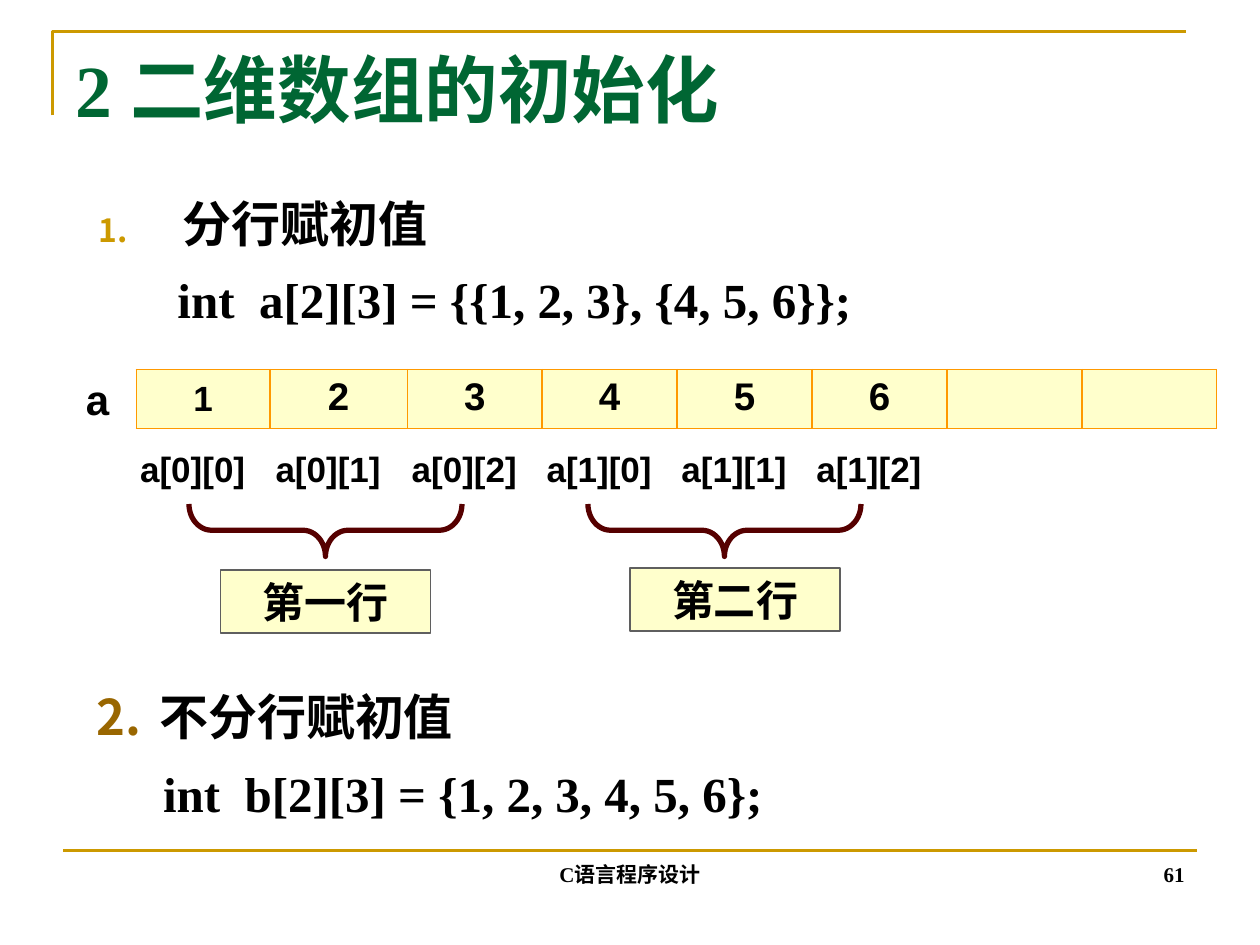
from dataclasses import dataclass

from lxml.etree import SubElement
from pptx import Presentation
from pptx.dml.color import RGBColor
from pptx.enum.shapes import MSO_CONNECTOR as Connector, MSO_SHAPE as Shape
from pptx.enum.text import MSO_ANCHOR as Anchor, PP_ALIGN as Align
from pptx.oxml.ns import qn
from pptx.util import Inches, Pt


@dataclass(frozen=True)
class Theme:
    serif: str = "Times New Roman"
    sans: str = "Arial"
    ink: str = "000000"
    title: str = "006633"
    rule: str = "CC9900"
    second_number: str = "996600"
    cell: str = "FFFFCC"
    cell_border: str = "FF9900"
    box_border: str = "5F5F5F"
    brace: str = "560000"
    title_size: float = 42
    list_size: float = 28
    label_size: float = 24
    value_size: float = 22
    index_size: float = 20
    footer_size: float = 12


THEME = Theme()
COLUMN_WIDTHS = [12.7, 13.1] + [12.85] * 6
ROW_HEIGHT = 5.6


def grid(units):
    """Length on a grid of 120 columns by 90 rows."""
    return Inches(units / 12)


def place(*units):
    return [grid(unit) for unit in units]


def rgb(value):
    return RGBColor.from_string(value)


def style_line(shape, color, width):
    shape.line.color.rgb = rgb(color)
    shape.line.width = Pt(width)


def write(paragraph, text, size, font, color=THEME.ink, align=None):
    paragraph.text = text
    paragraph.alignment = align
    for run in paragraph.runs:
        run.font.size = Pt(size)
        run.font.name = font
        run.font.bold = True
        run.font.color.rgb = rgb(color)


def add_text(slide, box, text, size, font, color=THEME.ink, align=Align.LEFT,
             anchor=Anchor.TOP):
    frame = slide.shapes.add_textbox(*place(*box)).text_frame
    frame.word_wrap = True
    frame.vertical_anchor = anchor
    write(frame.paragraphs[0], text, size, font, color, align)


def add_frame_rules(slide):
    """Corner line around the title and the line above the footer."""
    builder = slide.shapes.build_freeform(grid(5), grid(11))
    builder.add_line_segments([place(5, 3), place(113, 3)], close=False)
    corner = builder.convert_to_shape()
    corner.shadow.inherit = False
    corner.fill.background()
    style_line(corner, THEME.rule, 1.5)

    footer_rule = slide.shapes.add_connector(Connector.STRAIGHT, *place(6, 81, 114, 81))
    style_line(footer_rule, THEME.rule, 1.5)
    SubElement(footer_rule._element.spPr, qn("a:effectLst"))


def add_number(paragraph, start, color, percent, hang):
    properties = paragraph._p.get_or_add_pPr()
    properties.set("marL", str(Inches(hang)))
    properties.set("indent", str(-Inches(hang)))
    SubElement(SubElement(properties, qn("a:buClr")), qn("a:srgbClr"), val=color)
    SubElement(properties, qn("a:buSzPct"), val=str(percent * 1000))
    SubElement(properties, qn("a:buAutoNum"), type="arabicPeriod", startAt=str(start))


def add_list_item(slide, box, heading, code, start, number_color, percent, hang):
    """Numbered heading with a line of code under it."""
    frame = slide.shapes.add_textbox(*place(*box)).text_frame
    frame.word_wrap = True
    heading_line, code_line = frame.paragraphs[0], frame.add_paragraph()
    code_line.space_before = Pt(3.5)
    for paragraph in (heading_line, code_line):
        paragraph.line_spacing = 1.2
    add_number(heading_line, start, number_color, percent, hang)
    code_line._p.get_or_add_pPr().set("marL", str(Inches(0.53)))
    write(heading_line, heading, THEME.list_size, THEME.serif)
    write(code_line, code, THEME.list_size, THEME.serif)


def border_cell(cell, color, width):
    properties = cell._tc.get_or_add_tcPr()
    for position, side in enumerate(("lnL", "lnR", "lnT", "lnB")):
        border = SubElement(properties, qn(f"a:{side}"), w=str(Pt(width)))
        fill = SubElement(border, qn("a:solidFill"))
        SubElement(fill, qn("a:srgbClr"), val=color)
        properties.insert(position, border)


def add_row(slide, left, top, texts, sizes, filled):
    """One-row table; cells past the last text stay empty."""
    table = slide.shapes.add_table(
        1, len(COLUMN_WIDTHS), *place(left, top, sum(COLUMN_WIDTHS), ROW_HEIGHT)).table
    table.first_row = table.horz_banding = False
    table.rows[0].height = grid(ROW_HEIGHT)
    for column, width in zip(table.columns, COLUMN_WIDTHS):
        column.width = grid(width)
    for cell in table.iter_cells():
        if filled:
            cell.fill.solid()
            cell.fill.fore_color.rgb = rgb(THEME.cell)
            border_cell(cell, THEME.cell_border, 1.08)
        else:
            cell.fill.background()
    for cell, text, size in zip(table.iter_cells(), texts, sizes):
        cell.vertical_anchor = Anchor.MIDDLE if size == THEME.index_size else Anchor.TOP
        write(cell.text_frame.paragraphs[0], text, size, THEME.sans, align=Align.CENTER)


def add_brace(slide, left, top, width, depth):
    """Brace opening upwards: a left brace turned about its centre."""
    shift = (width - depth) / 2
    brace = slide.shapes.add_shape(
        Shape.LEFT_BRACE, *place(left + shift, top - shift, depth, width))
    brace.rotation = 270
    brace.adjustments[0] = 0.43
    brace.shadow.inherit = False
    brace.fill.background()
    style_line(brace, THEME.brace, 3)


def add_row_name(slide, left, top, text):
    box = slide.shapes.add_shape(Shape.RECTANGLE, *place(left, top, 20, 6))
    box.shadow.inherit = False
    box.fill.solid()
    box.fill.fore_color.rgb = rgb(THEME.cell)
    style_line(box, THEME.box_border, 1)
    box.text_frame.vertical_anchor = Anchor.MIDDLE
    write(box.text_frame.paragraphs[0], text, THEME.label_size, THEME.sans,
          align=Align.CENTER)


def main():
    deck = Presentation()
    deck.slide_width, deck.slide_height = Inches(10), Inches(7.5)
    slide = deck.slides.add_slide(deck.slide_layouts[6])

    add_frame_rules(slide)
    add_text(slide, (6, 3.6, 108, 15), "2 二维数组的初始化", THEME.title_size,
             THEME.serif, THEME.title)
    add_list_item(slide, (8.2, 16.7, 104.8, 15.8), "分行赋初值",
                  " int  a[2][3] = {{1, 2, 3}, {4, 5, 6}};", 1, THEME.rule, 65, 0.67)
    add_list_item(slide, (8, 63.7, 102, 15.2), "不分行赋初值",
                  "int  b[2][3] = {1, 2, 3, 4, 5, 6};", 2, THEME.second_number, 100, 0.5)

    add_text(slide, (7, 35, 6, 6), "a", THEME.label_size, THEME.sans)
    add_row(slide, 13, 35.2, "123456", [THEME.index_size] + [THEME.value_size] * 5, True)
    indices = [f"a[{row}][{column}]" for row in range(2) for column in range(3)]
    add_row(slide, 12, 42, indices, [THEME.index_size] * 6, False)

    for brace_left, name_left, name_top, name in (
            (18, 21, 54.3, "第一行"), (56, 60, 54.1, "第二行")):
        add_brace(slide, brace_left, 48, 26, 5)
        add_row_name(slide, name_left, name_top, name)

    for box, text, align in (((41, 79, 38, 6), "C语言程序设计", Align.CENTER),
                             ((86, 79, 28, 6), "61", Align.RIGHT)):
        add_text(slide, box, text, THEME.footer_size, THEME.serif, align=align,
                 anchor=Anchor.BOTTOM)
    deck.save("out.pptx")


if __name__ == "__main__":
    main()
